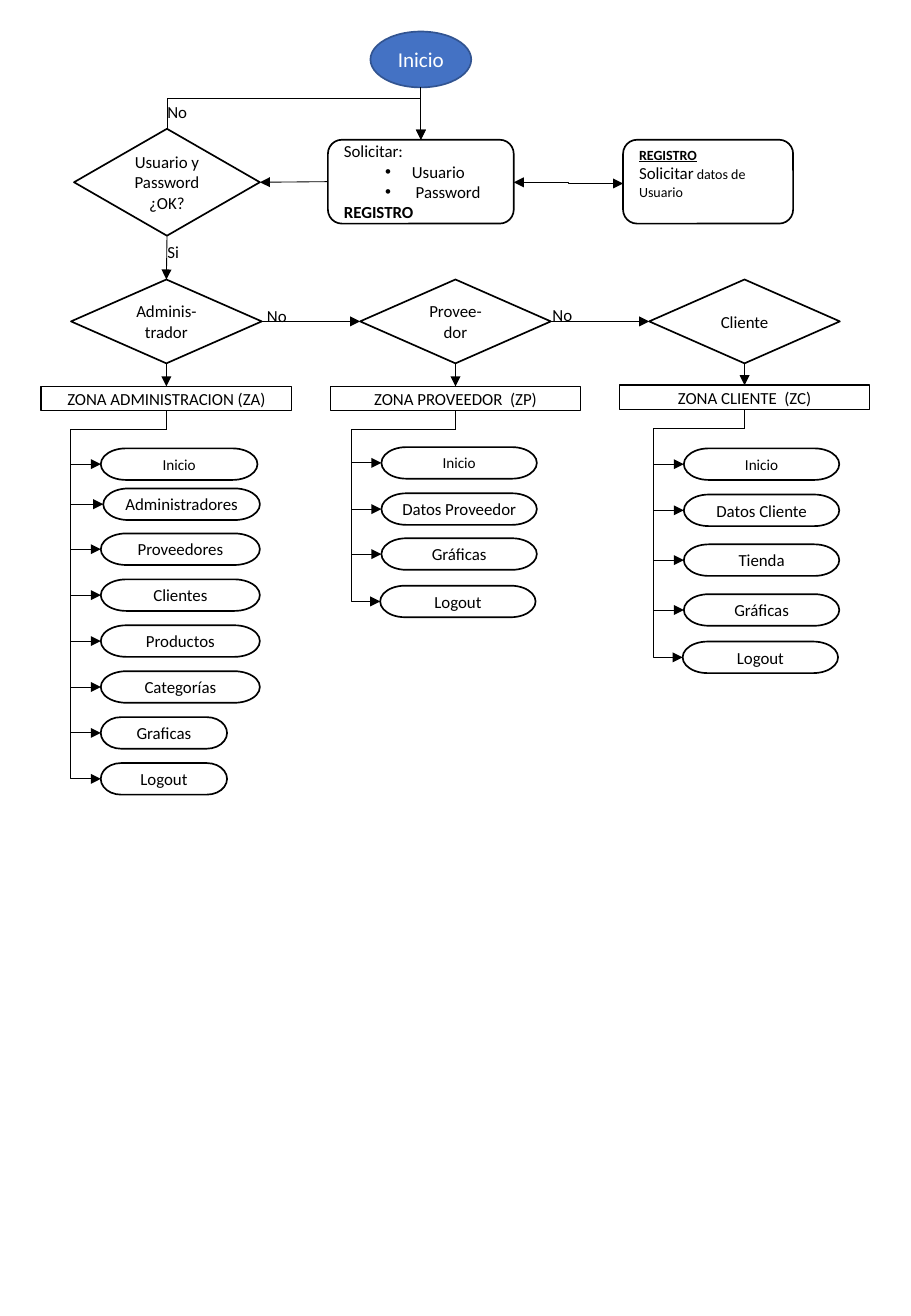
from dataclasses import dataclass
from typing import NamedTuple

from lxml.etree import SubElement
from pptx import Presentation
from pptx.dml.color import RGBColor
from pptx.enum.shapes import MSO_CONNECTOR as Link, MSO_SHAPE as Form
from pptx.enum.text import MSO_ANCHOR as Anchor, MSO_AUTO_SIZE as AutoSize, PP_ALIGN as Align
from pptx.oxml.ns import qn
from pptx.util import Inches, Pt

COLORS = {"ink": "000000", "paper": "FFFFFF", "start": "4472C4", "start_edge": "325491"}
FONT = "Calibri"
CELL = Inches(0.1)  # grid of 75 columns by 108.3 rows
TOP, LEFT, BOTTOM, RIGHT = range(4)
ZONE_PITCH = 23.8
ZONE_WIDTH, ZONE_HEIGHT = 20.6, 2
PILL_HEIGHT = 2.6
BRANCH_DROP = 1.55


class Span(NamedTuple):
    text: str
    size: float = 10
    bold: bool = False
    underline: bool = False


class Line(NamedTuple):
    spans: tuple[Span, ...]
    bullet: bool = False


class Point(NamedTuple):
    col: float
    row: float


@dataclass(frozen=True)
class Node:
    form: Form
    col: float
    row: float
    width: float
    height: float
    lines: tuple[Line, ...]
    fill: str = "paper"
    edge: str = "ink"
    ink: str = "ink"
    align: Align = Align.CENTER
    bottom_inset: float = 0.5


@dataclass(frozen=True)
class Pill:
    text: str
    row: float
    width: float = 12.8
    shift: float = 0
    size: float = 10


@dataclass(frozen=True)
class Zone:
    question: tuple[str, ...]
    title: str
    row: float
    trunk: float
    pill_col: float
    pills: tuple[Pill, ...]


def plain(*texts: str, size: float = 10) -> tuple[Line, ...]:
    """Give one unstyled line per text."""
    return tuple(Line((Span(text, size),)) for text in texts)


def grid(cells: float) -> int:
    return round(cells * CELL)


def color(name: str) -> RGBColor:
    return RGBColor.from_string(COLORS[name])


def write(frame, lines: tuple[Line, ...], ink: str, align: Align) -> None:
    for index, line in enumerate(lines):
        para = frame.add_paragraph() if index else frame.paragraphs[0]
        para.alignment = align
        if line.bullet:
            para.level = 1
            properties = para._p.get_or_add_pPr()
            properties.set("marL", str(grid(5.6)))
            properties.set("indent", str(grid(-2.2)))
            SubElement(properties, qn("a:buFont"), typeface="Arial")
            SubElement(properties, qn("a:buChar"), char="•")
        for span in line.spans:
            run = para.add_run()
            run.text = span.text
            font = run.font
            font.name, font.size = FONT, Pt(span.size)
            font.bold, font.underline = span.bold, span.underline
            font.color.rgb = color(ink)


def draw_node(page, node: Node):
    box = page.shapes.add_shape(node.form, *map(grid, (node.col, node.row, node.width, node.height)))
    box.shadow.inherit = False
    box.fill.solid()
    box.fill.fore_color.rgb = color(node.fill)
    box.line.color.rgb = color(node.edge)
    box.line.width = Pt(1)
    frame = box.text_frame
    frame.word_wrap = True
    frame.vertical_anchor = Anchor.MIDDLE
    frame.margin_bottom = grid(node.bottom_inset)
    write(frame, node.lines, node.ink, node.align)
    return box


def draw_label(page, text: str, col: float, row: float) -> None:
    box = page.shapes.add_textbox(grid(col), grid(row), grid(3.7), grid(2.7))
    box.text_frame.word_wrap = False
    box.text_frame.auto_size = AutoSize.SHAPE_TO_FIT_TEXT
    write(box.text_frame, plain(text), "ink", Align.LEFT)


def style_arrow(arrow, both_ends: bool = False) -> None:
    arrow.line.color.rgb = color("ink")
    arrow.line.width = Pt(0.5)
    outline = arrow.line._get_or_add_ln()
    for end in ("a:headEnd", "a:tailEnd") if both_ends else ("a:tailEnd",):
        SubElement(outline, qn(end), type="triangle")
    SubElement(arrow._element.spPr, qn("a:effectLst"))


def join(page, source, source_side: int, target, target_side: int) -> None:
    arrow = page.shapes.add_connector(Link.STRAIGHT, 0, 0, 0, 0)
    arrow.begin_connect(source, source_side)
    arrow.end_connect(target, target_side)
    style_arrow(arrow)


def draw_elbow(page, start: Point, end: Point, bends: tuple[float, ...], turn: int = 0,
               both_ends: bool = False) -> None:
    """Draw a bent arrow; bends are shares of its box, turn is its rotation in degrees."""
    middle = Point((start.col + end.col) / 2, (start.row + end.row) / 2)
    width, height = abs(end.col - start.col), abs(end.row - start.row)
    if turn:
        width, height = height, width
    left, right = middle.col - width / 2, middle.col + width / 2
    if turn == 270:
        left, right = right, left
    arrow = page.shapes.add_connector(Link.ELBOW, grid(left), grid(middle.row - height / 2),
                                      grid(right), grid(middle.row + height / 2))
    properties = arrow._element.spPr
    properties.find(qn("a:xfrm")).set("rot", str(turn * 60000))
    geometry = properties.find(qn("a:prstGeom"))
    geometry.set("prst", f"bentConnector{len(bends) + 2}")
    guides = geometry.find(qn("a:avLst"))
    if guides is None:
        guides = SubElement(geometry, qn("a:avLst"))
    for number, bend in enumerate(bends, 1):
        SubElement(guides, qn("a:gd"), name=f"adj{number}", fmla=f"val {round(bend * 100000)}")
    style_arrow(arrow, both_ends)


def draw_zone(page, zone: Zone, index: int):
    """Draw a question with its zone and branches, and return the question."""
    col = 3.4 + index * ZONE_PITCH
    question = draw_node(page, Node(Form.FLOWCHART_DECISION, col + 2.45, 23, 15.7, 6.9, plain(*zone.question)))
    title = draw_node(page, Node(Form.RECTANGLE, col, zone.row, ZONE_WIDTH, ZONE_HEIGHT, plain(zone.title)))
    join(page, question, BOTTOM, title, TOP)
    start = Point(col + ZONE_WIDTH / 2, zone.row + ZONE_HEIGHT)
    for pill in zone.pills:
        end = Point(zone.pill_col + pill.shift, pill.row + PILL_HEIGHT / 2)
        draw_node(page, Node(Form.FLOWCHART_TERMINATOR, end.col, pill.row, pill.width, PILL_HEIGHT,
                             plain(pill.text, size=pill.size)))
        bends = (BRANCH_DROP / (end.row - start.row), (start.col - zone.trunk) / (start.col - end.col))
        draw_elbow(page, start, end, bends, turn=90)
    return question


ADMIN_PILLS = (("Proveedores", 13.1), ("Clientes", 13.1), ("Productos", 13.1),
               ("Categorías", 13.1), ("Graficas", 10.4), ("Logout", 10.4))
ZONES = (
    Zone(("Adminis-trador",), "ZONA ADMINISTRACION (ZA)", 31.8, 5.8, 8.3, (
        Pill("Inicio", 36.9, 12.9, size=9), Pill("Administradores", 40.2, 12.9, 0.2),
        *(Pill(text, 43.9 + 3.78 * step, width) for step, (text, width) in enumerate(ADMIN_PILLS)))),
    Zone(("Provee-", "dor"), "ZONA PROVEEDOR  (ZP)", 31.8, 28.9, 31.4, (
        Pill("Inicio", 36.8, size=9), Pill("Datos Proveedor", 40.6),
        Pill("Gráficas", 44.3), Pill("Logout", 48.2, shift=-0.1))),
    Zone(("Cliente",), "ZONA CLIENTE  (ZC)", 31.7, 53.8, 56.3, (
        Pill("Inicio", 36.9, size=9), Pill("Datos Cliente", 40.7), Pill("Tienda", 44.8),
        Pill("Gráficas", 48.9), Pill("Logout", 52.8, shift=-0.1))),
)
START = Node(Form.OVAL, 30.5, 2.6, 8.3, 4.6, plain("Inicio", size=12.5), "start", "start_edge", "paper")
REQUEST = Node(Form.ROUNDED_RECTANGLE, 27, 11.5, 15.3, 6.9, (
    Line((Span("Solicitar:"),)), Line((Span("Usuario"),), True), Line((Span(" Password"),), True),
    Line((Span("REGISTRO", bold=True),))), align=Align.LEFT)
SIGN_UP = Node(Form.ROUNDED_RECTANGLE, 51.3, 11.5, 14, 6.9, (
    Line((Span("REGISTRO", 8.3, True, True),)),
    Line((Span("Solicitar"), Span(" datos de Usuario", 8.3)))), align=Align.LEFT, bottom_inset=1.9)
CHECK = Node(Form.FLOWCHART_DECISION, 6.1, 10.6, 15.3, 8.8, plain("Usuario y Password ¿OK?"))
LABELS = (("No", 12.8, 7.9), ("Si", 12.8, 19.4), ("No", 21, 24.7), ("No", 44.5, 24.6))


def main() -> None:
    deck = Presentation()
    deck.slide_width, deck.slide_height = Inches(7.5), Inches(10.83)
    page = deck.slides.add_slide(deck.slide_layouts[6])
    start, request, sign_up, check = (draw_node(page, node) for node in (START, REQUEST, SIGN_UP, CHECK))
    join(page, start, BOTTOM, request, TOP)
    join(page, request, LEFT, check, RIGHT)
    draw_elbow(page, Point(42.3, 15), Point(51.3, 15.1), (0.5,), both_ends=True)
    draw_elbow(page, Point(13.75, 10.6), Point(34.65, 11.5), (-2.73,), turn=270)
    questions = [draw_zone(page, zone, index) for index, zone in enumerate(ZONES)]
    join(page, check, BOTTOM, questions[0], TOP)
    for asked, following in zip(questions, questions[1:]):
        join(page, asked, RIGHT, following, LEFT)
    for text, col, row in LABELS:
        draw_label(page, text, col, row)
    deck.save("out.pptx")


if __name__ == "__main__":
    main()
